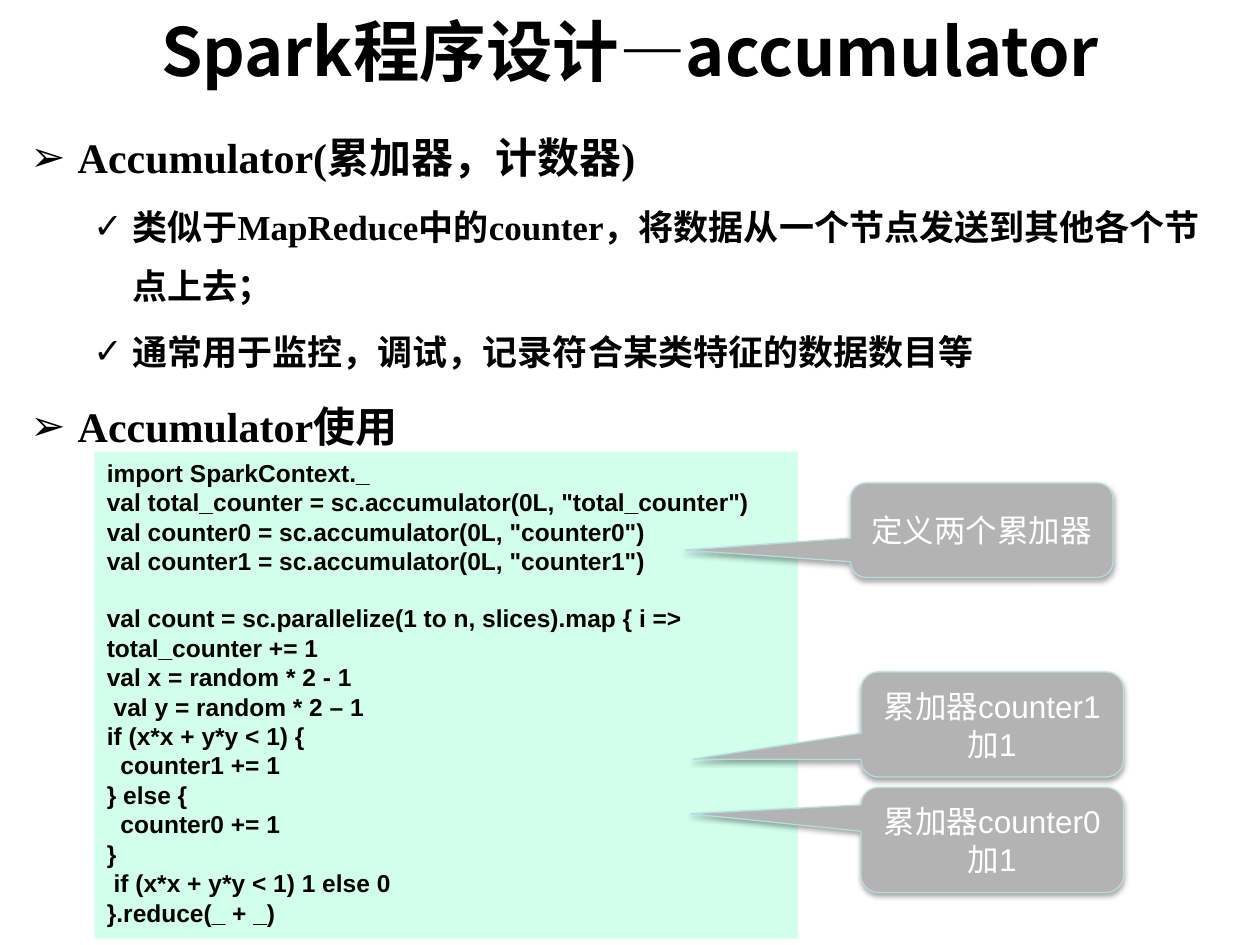
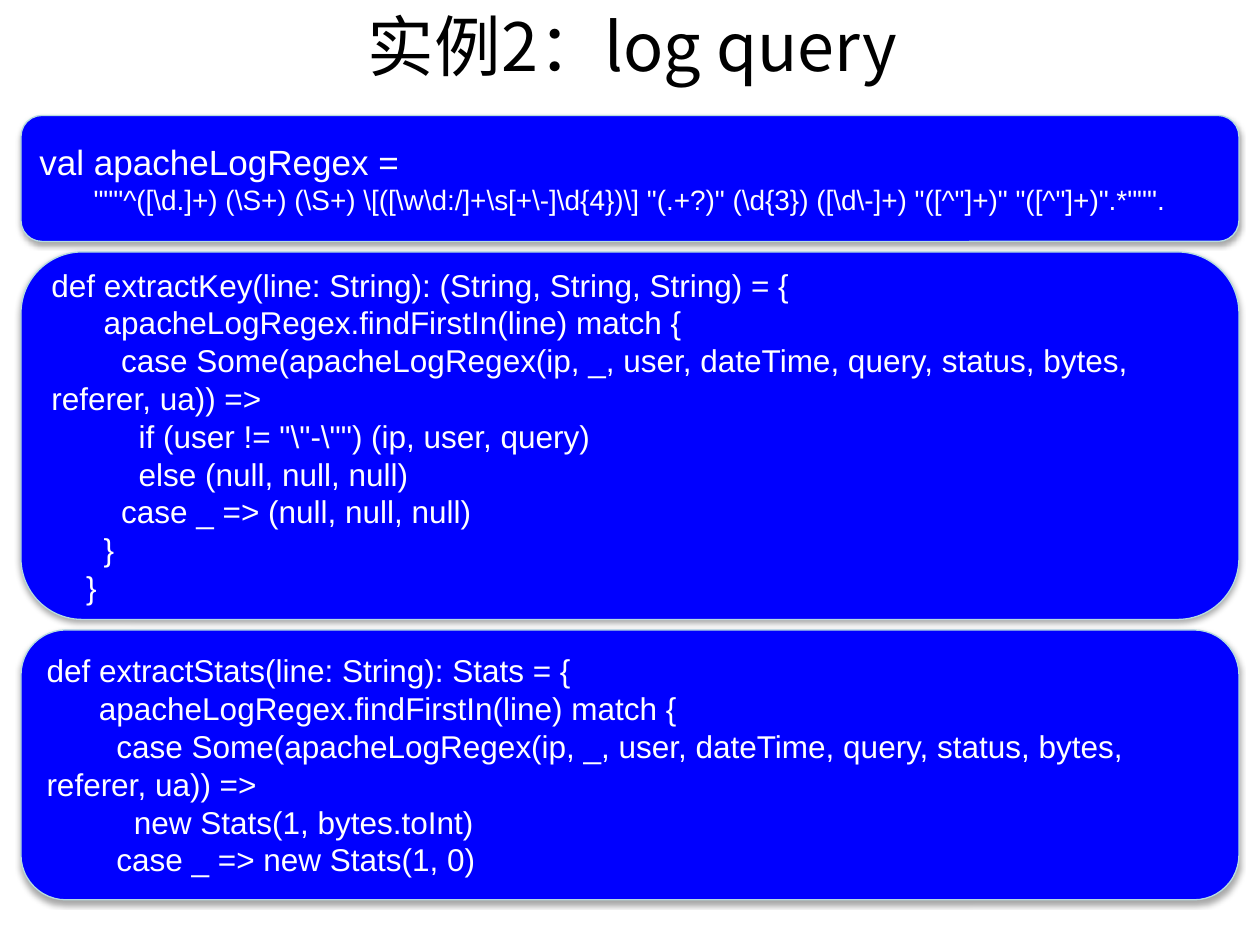
from lxml import etree
from pptx import Presentation
from pptx import util as u
from pptx.dml.color import RGBColor
from pptx.enum import shapes, text
from pptx.oxml import ns

PX = 7620
BLACK, WHITE = "000000", "FFFFFF"
MINT, GREY, BLUE, EDGE = "D1FFEC", "B3B3B3", "0000FF", "B6DCDF"
SANS, SERIF, HEADING = "Arial", "Times New Roman", "Noto Sans CJK SC"
LEFT, CENTER = text.PP_ALIGN.LEFT, text.PP_ALIGN.CENTER
LEVELS = [
    {"bullet": "➢", "size": 24, "margin": 45, "hang": 45},
    {"bullet": "✓", "size": 20, "margin": 97, "hang": 37},
]

ACCUMULATOR_POINTS = [
    (0, "Accumulator(累加器，计数器)"),
    (1, "类似于MapReduce中的counter，将数据从一个节点发送到其他各个节点上去；"),
    (1, "通常用于监控，调试，记录符合某类特征的数据数目等"),
    (0, "Accumulator使用"),
]
DEFINE_CODE = """import SparkContext._
val total_counter = sc.accumulator(0L, "total_counter")
val counter0 = sc.accumulator(0L, "counter0")
val counter1 = sc.accumulator(0L, "counter1")"""
COUNT_CODE = """val count = sc.parallelize(1 to n, slices).map { i =>
total_counter += 1
val x = random * 2 - 1
 val y = random * 2 – 1
if (x*x + y*y < 1) {
  counter1 += 1
} else {
  counter0 += 1
}
 if (x*x + y*y < 1) 1 else 0
}.reduce(_ + _)"""
CALLOUTS = [
    ((810, 460, 250, 90), (-1.13, 0.21), "定义两个累加器"),
    ((820, 640, 250, 100), (-1.14, 0.33), "累加器counter1加1"),
    ((820, 750, 250, 100), (-1.15, -0.25), "累加器counter0加1"),
]
REGEX_HEAD = "val apacheLogRegex ="
REGEX_BODY = r'''       """^([\d.]+) (\S+) (\S+) \[([\w\d:/]+\s[+\-]\d{4})\] "(.+?)" (\d{3}) ([\d\-]+) "([^"]+)" "([^"]+)".*""".'''
KEY_CODE = r'''def extractKey(line: String): (String, String, String) = {
      apacheLogRegex.findFirstIn(line) match {
        case Some(apacheLogRegex(ip, _, user, dateTime, query, status, bytes, referer, ua)) =>
          if (user != "\"-\"") (ip, user, query)
          else (null, null, null)
        case _ => (null, null, null)
      }
    }'''
STATS_CODE = """def extractStats(line: String): Stats = {
      apacheLogRegex.findFirstIn(line) match {
        case Some(apacheLogRegex(ip, _, user, dateTime, query, status, bytes, referer, ua)) =>
          new Stats(1, bytes.toInt)
        case _ => new Stats(1, 0)"""


def px(length):
    """Turn px into EMU."""
    return u.Emu(round(length * PX))


def rgb(value):
    """Turn a hex string into a colour."""
    return RGBColor.from_string(value)


def place(part, box):
    """Move a placeholder to a box."""
    part.left, part.top, part.width, part.height = map(px, box)


def write(frame, line, size=18, font=SANS, color=WHITE, bold=False, align=LEFT, before=0):
    """Append one formatted paragraph to a text frame and return it."""
    first = frame.paragraphs[0]
    paragraph = frame.add_paragraph() if first.runs else first
    paragraph.alignment = align
    paragraph.space_before = u.Pt(before)
    run = paragraph.add_run()
    run.text = line
    run.font.size, run.font.name, run.font.bold = u.Pt(size), font, bold
    run.font.color.rgb = rgb(color)
    east_asian = etree.SubElement(run.font._element, ns.qn("a:ea"))
    east_asian.set("typeface", HEADING)
    return paragraph


def write_lines(frame, lines, **style):
    """Append each line of a block as its own paragraph."""
    for line in lines.split("\n"):
        write(frame, line, **style)


def add_bullet(paragraph, level):
    """Give a paragraph the bullet and hanging indent of its level."""
    properties = paragraph._p.get_or_add_pPr()
    properties.set("marL", str(px(level["margin"])))
    properties.set("indent", str(px(-level["hang"])))
    etree.SubElement(properties, ns.qn("a:buFont")).set("typeface", SANS)
    etree.SubElement(properties, ns.qn("a:buChar")).set("char", level["bullet"])


def add_panel(slide, kind, box, fill, raised=True):
    """Add a filled shape, edged and shadowed when raised."""
    panel = slide.shapes.add_shape(kind, *map(px, box))
    panel.fill.solid()
    panel.fill.fore_color.rgb = rgb(fill)
    panel.shadow.inherit = False
    frame = panel.text_frame
    frame.word_wrap = True
    if raised:
        panel.line.color.rgb = rgb(EDGE)
        panel.line.width = u.Pt(0.75)
        effects = panel._element.spPr.find(ns.qn("a:effectLst"))
        shadow = etree.SubElement(effects, ns.qn("a:outerShdw"), blurRad="40000",
                                  dist="23000", dir="5400000", rotWithShape="0")
        tint = etree.SubElement(shadow, ns.qn("a:srgbClr"), val=BLACK)
        etree.SubElement(tint, ns.qn("a:alpha"), val="35000")
        frame.vertical_anchor = text.MSO_ANCHOR.MIDDLE
    else:
        panel.line.fill.background()
        frame.vertical_anchor = text.MSO_ANCHOR.TOP
    return panel


def add_title(slide, box, words, bold=False):
    """Fill and place the slide title."""
    title = slide.shapes.title
    place(title, box)
    frame = title.text_frame
    frame.auto_size = text.MSO_AUTO_SIZE.NONE
    frame.vertical_anchor = text.MSO_ANCHOR.MIDDLE
    write(frame, words, size=38, font=HEADING, color=BLACK, bold=bold, align=CENTER)


def add_points(slide, box, points):
    """Fill the body placeholder with two levels of bullets."""
    body = slide.placeholders[1]
    place(body, box)
    frame = body.text_frame
    frame.auto_size = text.MSO_AUTO_SIZE.NONE
    for order, (depth, words) in enumerate(points):
        level = LEVELS[depth]
        point = write(frame, words, size=level["size"], font=SERIF, color=BLACK,
                      bold=True, before=level["size"] * 0.2 if order else 0)
        point.level = depth
        point.line_spacing = 1.4
        add_bullet(point, level)


def add_listing(slide, box):
    """Add the accumulator code on its mint panel."""
    frame = add_panel(slide, shapes.MSO_SHAPE.RECTANGLE, box, MINT, raised=False).text_frame
    frame.auto_size = text.MSO_AUTO_SIZE.SHAPE_TO_FIT_TEXT
    style = {"size": 14, "color": BLACK, "bold": True}
    opening, rest = COUNT_CODE.split("\n", 1)
    write_lines(frame, DEFINE_CODE, **style)
    write(frame, opening, before=16, **style)
    write_lines(frame, rest, **style)


def add_callout(slide, box, tip, words):
    """Add a grey callout whose tip is relative to its box."""
    callout = add_panel(slide, shapes.MSO_SHAPE.ROUNDED_RECTANGULAR_CALLOUT, box, GREY)
    callout.adjustments[0], callout.adjustments[1] = tip
    write(callout.text_frame, words, align=CENTER)


def add_code_panel(slide, top, height):
    """Add a full-width blue panel and return its text frame."""
    box = (20, top, 1160, height)
    return add_panel(slide, shapes.MSO_SHAPE.ROUNDED_RECTANGLE, box, BLUE).text_frame


def build_accumulator(deck):
    """Build the slide on accumulators."""
    slide = deck.slides.add_slide(deck.slide_layouts[1])
    add_title(slide, (0, 0, 1200, 95), "Spark程序设计—accumulator", bold=True)
    add_points(slide, (17, 100, 1153, 350), ACCUMULATOR_POINTS)
    add_listing(slide, (90, 430, 670, 464))
    for box, tip, words in CALLOUTS:
        add_callout(slide, box, tip, words)


def build_log_query(deck):
    """Build the log query example slide."""
    slide = deck.slides.add_slide(deck.slide_layouts[5])
    add_title(slide, (5, 0, 1195, 85), "实例2：log query")
    regex = add_code_panel(slide, 110, 120)
    write(regex, REGEX_HEAD, size=20)
    write(regex, REGEX_BODY, size=16)
    write_lines(add_code_panel(slide, 240, 350), KEY_CODE)
    write_lines(add_code_panel(slide, 600, 257), STATS_CODE)


def main():
    """Build and save the deck."""
    deck = Presentation()
    deck.slide_width, deck.slide_height = px(1200), px(900)
    build_accumulator(deck)
    build_log_query(deck)
    deck.save("out.pptx")


if __name__ == "__main__":
    main()
